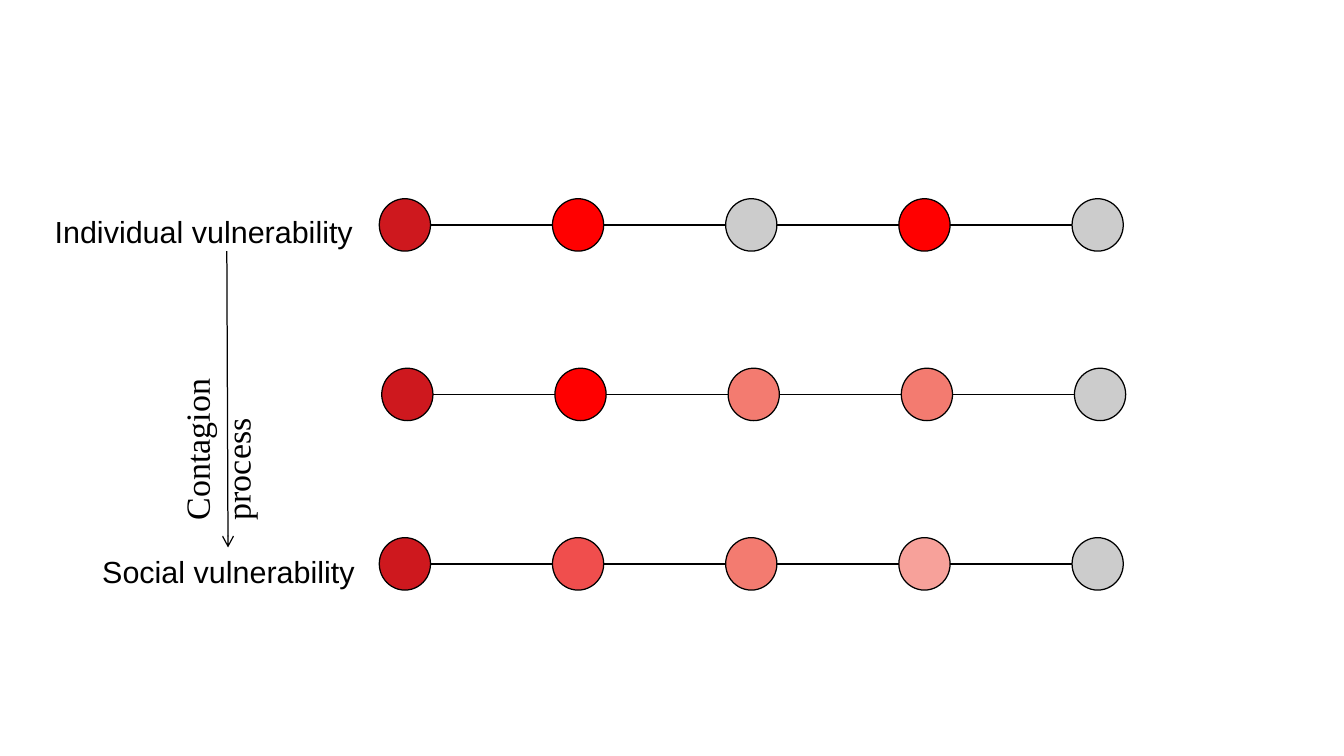
"""Draw a slide showing vulnerability spreading along a chain of nodes."""
from dataclasses import dataclass

from lxml.etree import SubElement
from pptx import Presentation
from pptx.dml.color import RGBColor
from pptx.dml.line import LineFormat
from pptx.enum.shapes import MSO_CONNECTOR as Connector, MSO_SHAPE as Shape
from pptx.enum.text import MSO_AUTO_SIZE as AutoSize
from pptx.oxml.ns import qn
from pptx.slide import Slide
from pptx.util import Inches, Pt

BLACK = "000000"
NODE_WIDTH, NODE_HEIGHT = 0.42, 0.43
NODE_PITCH = 1.42


@dataclass(frozen=True)
class Chain:
    left: float
    top: float
    colors: tuple[str, ...]


@dataclass(frozen=True)
class Label:
    text: str
    left: float
    top: float
    width: float
    height: float = 0.38
    size: int = 18
    font: str = "Arial"
    rotation: int = 0
    wrap: bool = True


CHAINS = (
    Chain(3.11, 1.63, ("CE181E", "FF0000", "CCCCCC", "FF0000", "CCCCCC")),
    Chain(3.13, 3.02, ("CE181E", "FF0000", "F37B70", "F37B70", "CCCCCC")),
    Chain(3.11, 4.41, ("CE181E", "F04E4D", "F37B70", "F7A19A", "CCCCCC")),
)
LABELS = (
    Label("Contagion process", 0.48, 3.02, 2.26, 0.43, 20, "Times New Roman", 270, False),
    Label("Individual vulnerability", 0.35, 1.7, 2.9),
    Label("Social vulnerability", 0.74, 4.49, 2.36),
)


def rgb(color: str) -> RGBColor:
    return RGBColor.from_string(color)


def style_line(line: LineFormat) -> None:
    line.color.rgb = rgb(BLACK)
    line.width = Pt(0.75)


def draw_line(page: Slide, x1: float, y1: float, x2: float, y2: float,
              arrow: bool = False) -> None:
    connector = page.shapes.add_connector(
        Connector.STRAIGHT, Inches(x1), Inches(y1), Inches(x2), Inches(y2))
    style_line(connector.line)
    if arrow:
        SubElement(connector.line._get_or_add_ln(), qn("a:tailEnd"), type="arrow")
    SubElement(connector._element.spPr, qn("a:effectLst"))


def draw_node(page: Slide, left: float, top: float, color: str) -> None:
    node = page.shapes.add_shape(
        Shape.OVAL, Inches(left), Inches(top), Inches(NODE_WIDTH), Inches(NODE_HEIGHT))
    node.shadow.inherit = False
    node.fill.solid()
    node.fill.fore_color.rgb = rgb(color)
    style_line(node.line)


def draw_chain(page: Slide, chain: Chain) -> None:
    middle = chain.top + NODE_HEIGHT / 2
    for index, color in enumerate(chain.colors):
        left = chain.left + index * NODE_PITCH
        draw_node(page, left, chain.top, color)
        if index:
            draw_line(page, left - NODE_PITCH + NODE_WIDTH, middle, left, middle)


def draw_label(page: Slide, label: Label) -> None:
    box = page.shapes.add_textbox(
        Inches(label.left), Inches(label.top), Inches(label.width), Inches(label.height))
    box.rotation = label.rotation
    frame = box.text_frame
    frame.word_wrap = label.wrap
    frame.auto_size = AutoSize.SHAPE_TO_FIT_TEXT
    para = frame.paragraphs[0]
    span = para.add_run()
    span.text = label.text
    span.font.name = label.font
    span.font.size = Pt(label.size)
    span.font.color.rgb = rgb(BLACK)


def main() -> None:
    deck = Presentation()
    deck.slide_width, deck.slide_height = Inches(11.02), Inches(6.2)
    page = deck.slides.add_slide(deck.slide_layouts[6])
    for chain in CHAINS:
        draw_chain(page, chain)
    draw_line(page, 1.86, 2.06, 1.87, 4.49, arrow=True)
    for label in LABELS:
        draw_label(page, label)
    deck.save("out.pptx")


if __name__ == "__main__":
    main()
